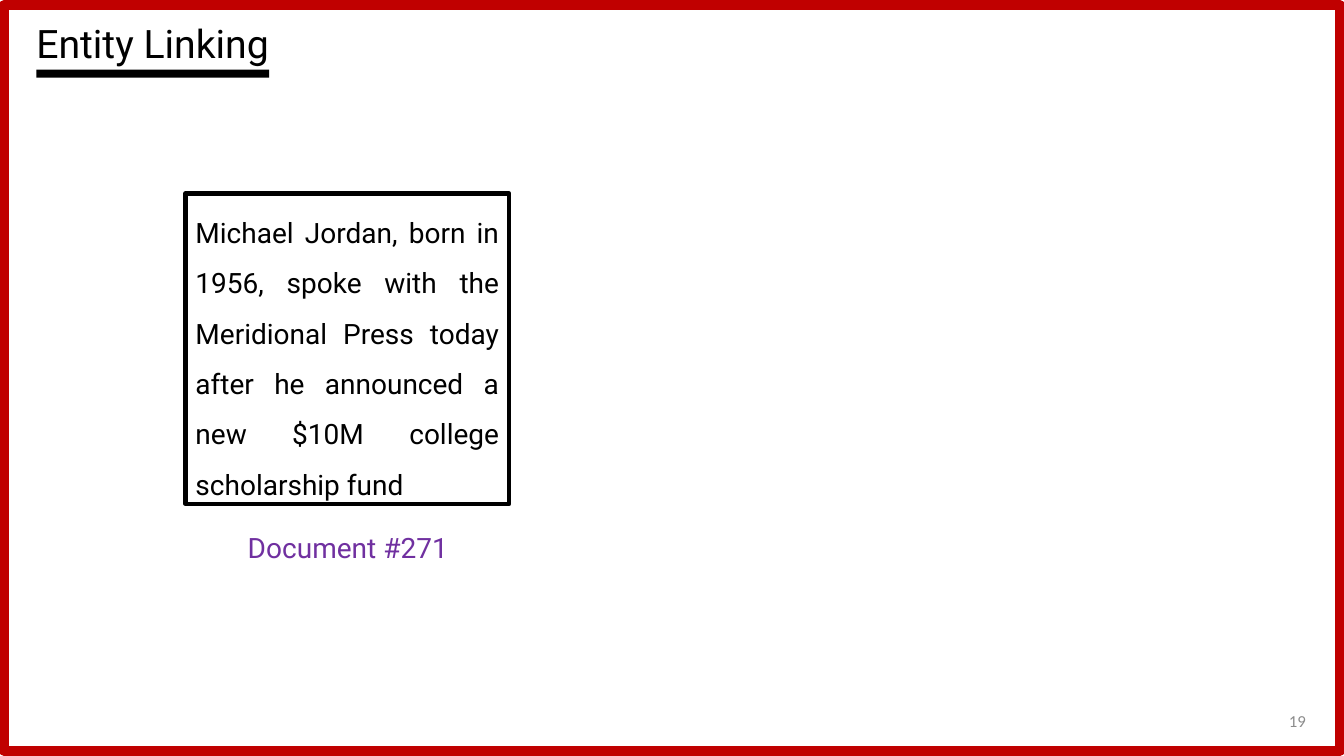
from pptx import Presentation
from pptx.dml.color import RGBColor
from pptx.enum.shapes import MSO_SHAPE
from pptx.enum.text import MSO_ANCHOR, MSO_AUTO_SIZE, PP_ALIGN
from pptx.util import Pt

UNIT = 9144
WIDE, HIGH = 1333, 750
BLACK = "000000"


def px(*nums):
    """Turn px lengths into EMU."""
    return [num * UNIT for num in nums]


def tint(form, code):
    """Set a fill or font colour from a hex string."""
    form.rgb = RGBColor.from_string(code)


def rect(slide, box, fill=None, line=None, width=0):
    """Draw a plain rectangle."""
    shape = slide.shapes.add_shape(MSO_SHAPE.RECTANGLE, *px(*box))
    shape.shadow.inherit = False
    if fill:
        shape.fill.solid()
        tint(shape.fill.fore_color, fill)
    else:
        shape.fill.background()
    if line:
        tint(shape.line.color, line)
        shape.line.width = Pt(width)
    else:
        shape.line.fill.background()
    return shape


def write(shape, text, size, align, space=None, code=BLACK, face="Roboto",
          anchor=MSO_ANCHOR.TOP, fit=MSO_AUTO_SIZE.NONE):
    """Put one styled paragraph into a shape."""
    frame = shape.text_frame
    frame.text = text
    frame.word_wrap = True
    frame.auto_size = fit
    frame.vertical_anchor = anchor
    para = frame.paragraphs[0]
    para.alignment = align
    if space:
        para.line_spacing = space
    font = para.runs[0].font
    font.size = Pt(size)
    font.name = face
    tint(font.color, code)


def label(slide, box, *args, **style):
    """Add a text box with one styled paragraph."""
    write(slide.shapes.add_textbox(*px(*box)), *args, **style)


def border(slide, box):
    """Draw the red frame and the page number in its corner."""
    left, top, width, height = box
    rect(slide, box, line="C00000", width=7)
    label(slide, (left + width - 324, top + height - 50, 300, 40), "19", 12,
          PP_ALIGN.RIGHT, code="8C8C8C", face="Calibri",
          anchor=MSO_ANCHOR.MIDDLE)


def heading(slide, box, text):
    """Place the title with a thick bar below it."""
    left, top, width, height = box
    title = slide.shapes.title
    title.left, title.top, title.width, title.height = px(*box)
    write(title, text, 28, PP_ALIGN.LEFT, 0.9)
    rect(slide, (left + 10, top + 50, 231, 8), fill=BLACK)


def paper(slide, box, text, name):
    """Draw a framed document with its name below."""
    left, top, width, height = box
    sheet = rect(slide, box, line=BLACK, width=3)
    write(sheet, text, 20, PP_ALIGN.JUSTIFY, 1.5,
          fit=MSO_AUTO_SIZE.SHAPE_TO_FIT_TEXT)
    label(slide, (left + 10, top + height + 25, width - 19, 68), name, 20,
          PP_ALIGN.CENTER, 0.9, code="7030A0")


def main():
    """Build and save the slide."""
    deck = Presentation()
    deck.slide_width, deck.slide_height = px(WIDE, HIGH)
    slide = deck.slides.add_slide(deck.slide_layouts[5])
    border(slide, (4, 5, WIDE - 8, HIGH - 10))
    heading(slide, (26, 19, 302, 68), "Entity Linking")
    paper(slide, (184, 192, 321, 308),
          "Michael Jordan, born in 1956, spoke with the Meridional Press "
          "today after he announced a new $10M college scholarship fund",
          "Document #271")
    deck.save("out.pptx")


if __name__ == "__main__":
    main()
